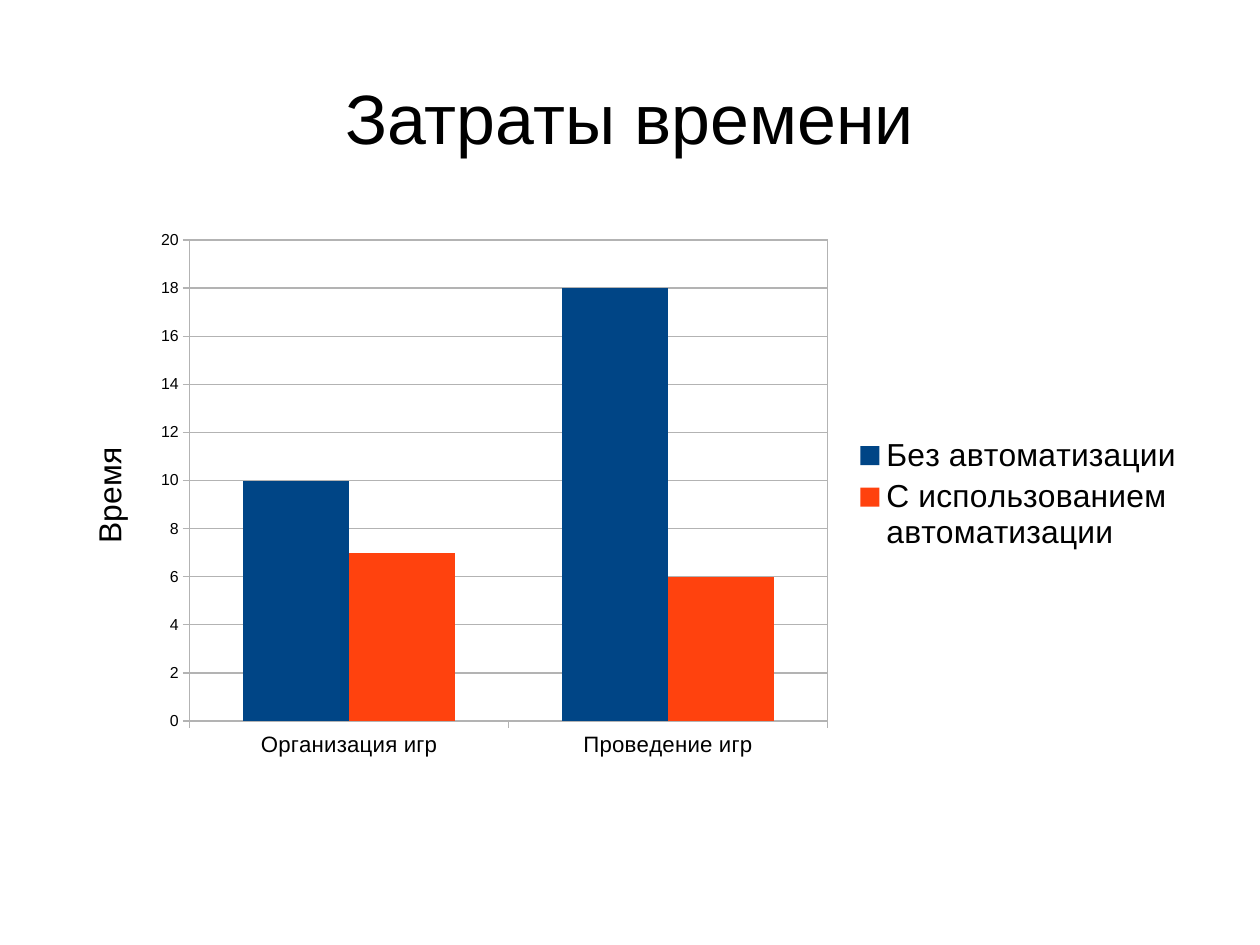
from lxml.etree import SubElement
from pptx import Presentation
from pptx.chart.data import CategoryChartData
from pptx.dml.color import RGBColor
from pptx.enum.chart import XL_CHART_TYPE, XL_LEGEND_POSITION, XL_TICK_MARK
from pptx.enum.text import MSO_ANCHOR, PP_ALIGN
from pptx.oxml import parse_xml
from pptx.oxml.ns import nsdecls, qn
from pptx.util import Inches, Pt

BLACK = RGBColor(0x00, 0x00, 0x00)
GRAY = RGBColor(0xB3, 0xB3, 0xB3)
BLUE = RGBColor(0x00, 0x45, 0x86)
ORANGE = RGBColor(0xFF, 0x42, 0x0E)

WIDE = 9.92
HIGH = 4.79
GROUPS = ["Организация игр", "Проведение игр"]
TIMES = [
    ("Без автоматизации", (10, 18), BLUE),
    ("С использованием автоматизации", (7, 6), ORANGE),
]


class Deck:
    face = "Arial"

    def __init__(self, width, height):
        self.deck = Presentation()
        self.deck.slide_width = Inches(width)
        self.deck.slide_height = Inches(height)
        self.slide = self.deck.slides.add_slide(self.deck.slide_layouts[6])

    def style(self, font, size):
        font.name = self.face
        font.size = Pt(size)
        font.bold = False
        font.color.rgb = BLACK

    def trace(self, line):
        line.color.rgb = GRAY
        line.width = Pt(0)

    def place(self, part, **sides):
        layout = part.find(qn("c:layout"))
        if layout is None:
            layout = parse_xml(f"<c:layout {nsdecls('c')}/>")
            part.insert(0 if part.tag == qn("c:plotArea") else 1, layout)
        for child in list(layout):
            layout.remove(child)
        manual = SubElement(layout, qn("c:manualLayout"))
        if part.tag == qn("c:plotArea"):
            SubElement(manual, qn("c:layoutTarget")).set("val", "inner")
        for mode in ("xMode", "yMode"):
            SubElement(manual, qn(f"c:{mode}")).set("val", "edge")
        for side, length in sides.items():
            share = length / (WIDE if side in "xw" else HIGH)
            SubElement(manual, qn(f"c:{side}")).set("val", f"{share:.4f}")

    def title(self, text, left, top, width, height):
        box = self.slide.shapes.add_textbox(
            Inches(left), Inches(top), Inches(width), Inches(height))
        frame = box.text_frame
        frame.word_wrap = True
        frame.vertical_anchor = MSO_ANCHOR.MIDDLE
        frame.margin_left = frame.margin_right = 0
        frame.margin_top = frame.margin_bottom = 0
        line = frame.paragraphs[0]
        line.alignment = PP_ALIGN.CENTER
        run = line.add_run()
        run.text = text
        self.style(run.font, 44)

    def chart(self, groups, rows, label, left, top):
        data = CategoryChartData()
        data.categories = groups
        for name, values, _ in rows:
            data.add_series(name, values)
        chart = self.slide.shapes.add_chart(
            XL_CHART_TYPE.COLUMN_CLUSTERED, Inches(left), Inches(top),
            Inches(WIDE), Inches(HIGH), data).chart
        self.style(chart.font, 10)
        chart.has_title = False
        self.bars(chart.plots[0], rows)
        self.axis(chart.category_axis, 14)
        self.axis(chart.value_axis, 10)
        self.scale(chart.value_axis, label)
        self.legend(chart)
        self.frame(chart)

    def bars(self, plot, rows):
        plot.gap_width = 100
        plot.overlap = 0
        plot.vary_by_categories = False
        for series, (_, _, color) in zip(plot.series, rows):
            series.format.fill.solid()
            series.format.fill.fore_color.rgb = color
            series.format.line.fill.background()

    def axis(self, axis, size):
        axis.major_tick_mark = XL_TICK_MARK.OUTSIDE
        axis.minor_tick_mark = XL_TICK_MARK.NONE
        self.style(axis.tick_labels.font, size)
        self.trace(axis.format.line)

    def scale(self, axis, label):
        axis.minimum_scale = 0
        axis.maximum_scale = 20
        axis.major_unit = 2
        axis.has_major_gridlines = True
        self.trace(axis.major_gridlines.format.line)
        title = axis.axis_title
        run = title.text_frame.paragraphs[0].add_run()
        run.text = label
        self.style(run.font, 20)
        body = title._element.find(".//" + qn("a:bodyPr"))
        body.set("rot", "-5400000")
        body.set("vert", "horz")
        self.place(title._element, x=0.18, y=1.93)

    def legend(self, chart):
        chart.has_legend = True
        legend = chart.legend
        legend.position = XL_LEGEND_POSITION.RIGHT
        legend.include_in_layout = False
        self.style(legend.font, 20)
        self.place(legend._element, x=6.92, y=1.85, w=2.88, h=1.09)

    def frame(self, chart):
        area = chart._chartSpace.find(".//" + qn("c:plotArea"))
        self.place(area, x=1.11, y=0.17, w=5.58, h=4.21)
        area.append(parse_xml(
            f"<c:spPr {nsdecls('c', 'a')}><a:noFill/><a:ln w='0'><a:solidFill>"
            f"<a:srgbClr val='{GRAY}'/></a:solidFill></a:ln></c:spPr>"))

    def save(self):
        self.deck.save("out.pptx")


def main():
    deck = Deck(28 / 2.54, 21 / 2.54)
    deck.chart(GROUPS, TIMES, "Время", 0.55, 1.93)
    deck.title("Затраты времени", 0.55, 0.33, WIDE, 1.38)
    deck.save()


if __name__ == "__main__":
    main()
